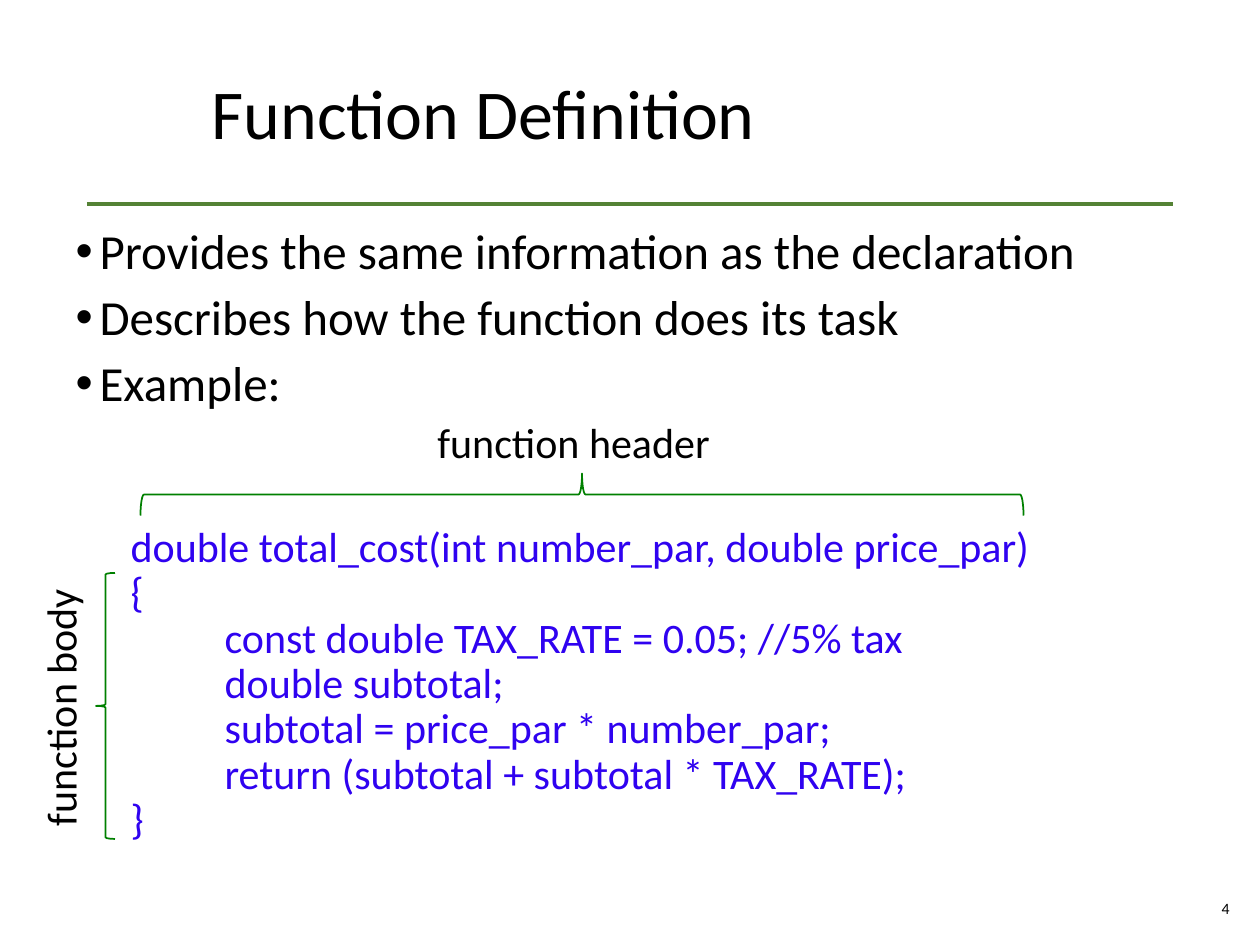
import pptx
import pptx.util
import pptx.dml.color
import pptx.enum.shapes
import pptx.enum.text
import pptx.oxml
import pptx.oxml.ns

# Content
TITLE = "Function Definition"
BULLETS = [
    "Provides the same information as the declaration",
    "Describes how the function does its task",
    "Example:",
]
CODE = [  # (indent steps, line)
    (0, "double total_cost(int number_par, double price_par)"),
    (0, "{"),
    (1, "const double TAX_RATE = 0.05; //5% tax"),
    (1, "double subtotal;"),
    (1, "subtotal = price_par * number_par;"),
    (1, "return (subtotal + subtotal * TAX_RATE);"),
    (0, "}"),
]
# Boxes are left, top, width, height in px
TITLE_BOX = (199, 38, 1042, 158)
BODY_BOX = (63, 221, 1134, 663)
BRACES = [((96, 573, 19, 266), 0), ((561, 53, 42, 883), 90)]
LABELS = [
    ("function body", (-73, 674, 266, 63), 270),
    ("function header", (425, 410, 301, 63), 0),
]
NUMBER, NUMBER_BOX = "4", (1192, 883, 50, 50)
RULE = (87, 204, 1173, 204)

BLACK, CODE_BLUE, BRACE_GREEN, RULE_GREEN = "000000", "2F02F0", "008000", "548235"
BULLET_INDENT, CODE_INDENT, CODE_STEP = 24, 55, 94
CODE_GAP = 65  # points between the list and the code

Pt = pptx.util.Pt
ANCHOR = pptx.enum.text.MSO_ANCHOR
ALIGN = pptx.enum.text.PP_ALIGN


def px(n):
    return round(n * 914400 / 126)


def rgb(value):
    return pptx.dml.color.RGBColor.from_string(value)


def place(sp, box):
    for name, n in zip(("left", "top", "width", "height"), box):
        setattr(sp, name, px(n))


def write(p, text, size, color=BLACK, **formats):
    for name, value in formats.items():
        setattr(p, name, value)
    r = p.add_run()
    r.text = text
    for name, value in {"name": "Calibri", "size": Pt(size)}.items():
        setattr(r.font, name, value)
    r.font.color.rgb = rgb(color)


def indent(p, left, first):
    pPr = p._p.get_or_add_pPr()
    pPr.set("marL", str(px(left)))
    pPr.set("indent", str(px(first)))
    return pPr


def add_text(s, text, box, size, rotation=0, **formats):
    sp = s.shapes.add_textbox(*map(px, box))
    sp.rotation = rotation
    write(sp.text_frame.paragraphs[0], text, size, **formats)
    return sp.text_frame


def add_body(tf):
    tf.auto_size = pptx.enum.text.MSO_AUTO_SIZE.NONE
    paragraphs = [tf.paragraphs[0]]
    paragraphs += [tf.add_paragraph() for _ in range(len(BULLETS) + len(CODE) - 1)]
    for p, text in zip(paragraphs, BULLETS):
        indent(p, BULLET_INDENT, -BULLET_INDENT)
        write(p, text, 28, line_spacing=0.9, space_before=Pt(7.5))
    for i, (p, (step, text)) in enumerate(zip(paragraphs[len(BULLETS):], CODE)):
        pPr = indent(p, CODE_INDENT + step * CODE_STEP, 0)
        write(p, text, 24, CODE_BLUE, line_spacing=0.9,
              space_before=Pt(0 if i else CODE_GAP))
        pPr.append(pptx.oxml.parse_xml(
            "<a:buNone %s/>" % pptx.oxml.ns.nsdecls("a")))


def main():
    prs = pptx.Presentation()
    prs.slide_width, prs.slide_height = px(1260), px(945)
    s = prs.slides.add_slide(prs.slide_layouts[1])
    title, body = s.placeholders

    # Rule under the title
    rule = s.shapes.add_connector(
        pptx.enum.shapes.MSO_CONNECTOR.STRAIGHT, *map(px, RULE))
    rule.line.color.rgb = rgb(RULE_GREEN)
    rule.line.width = Pt(2)
    rule._element.spPr.append(pptx.oxml.parse_xml(
        "<a:effectLst %s/>" % pptx.oxml.ns.nsdecls("a")))

    # Title and body
    place(title, TITLE_BOX)
    title.text_frame.vertical_anchor = ANCHOR.MIDDLE
    write(title.text_frame.paragraphs[0], TITLE, 40,
          line_spacing=0.9, alignment=ALIGN.LEFT)
    place(body, BODY_BOX)
    add_body(body.text_frame)

    # Braces and their labels
    for box, rotation in BRACES:
        sp = s.shapes.add_shape(
            pptx.enum.shapes.MSO_SHAPE.LEFT_BRACE, *map(px, box))
        sp.rotation = rotation
        sp.shadow.inherit = False
        sp.fill.background()
        sp.line.color.rgb = rgb(BRACE_GREEN)
        sp.line.width = Pt(1)
    for text, box, rotation in LABELS:
        tf = add_text(s, text, box, 24, rotation)
        tf.word_wrap = False
        tf.auto_size = pptx.enum.text.MSO_AUTO_SIZE.SHAPE_TO_FIT_TEXT

    # Slide number
    tf = add_text(s, NUMBER, NUMBER_BOX, 9, alignment=ALIGN.RIGHT)
    tf.word_wrap = True
    tf.vertical_anchor = ANCHOR.MIDDLE

    prs.save("out.pptx")


if __name__ == "__main__":
    main()
